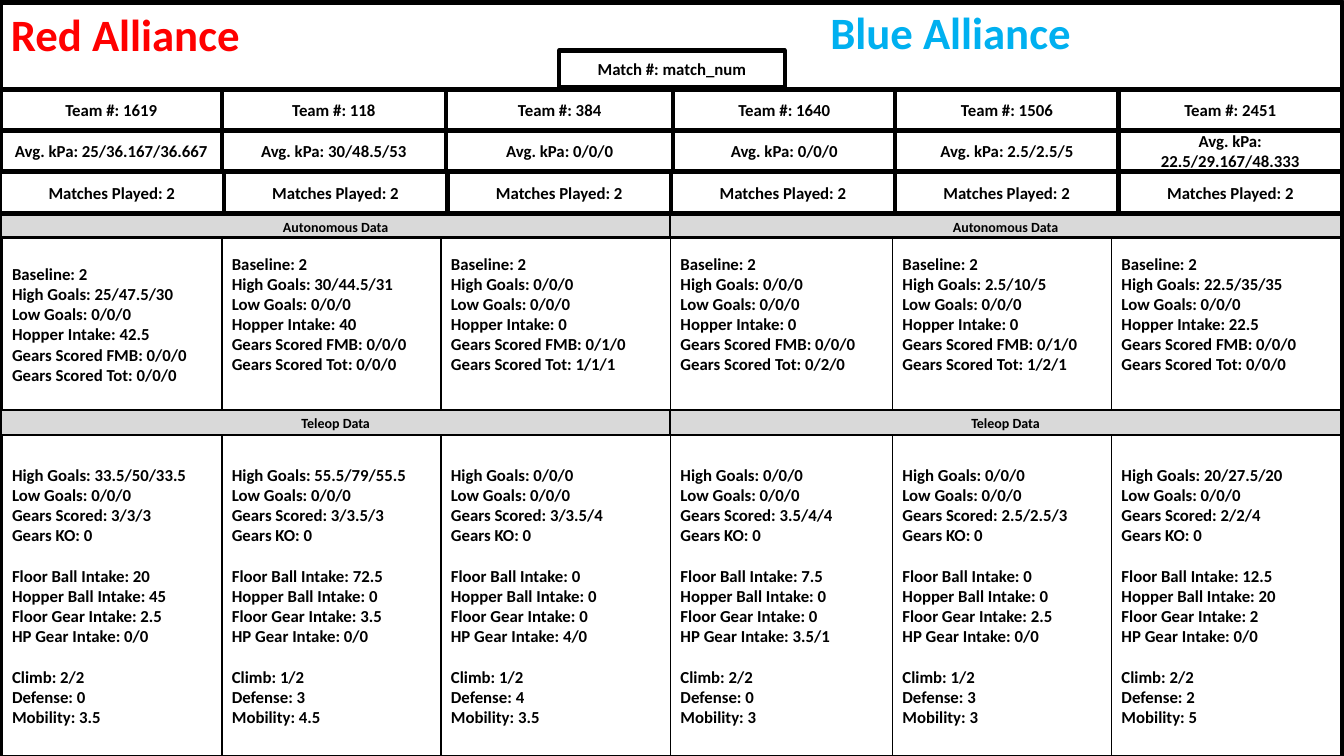
"""Match scouting sheet: two alliances of three teams each."""
from dataclasses import dataclass
from itertools import pairwise

from lxml import etree
from pptx import Presentation
from pptx.dml.color import RGBColor
from pptx.enum import shapes, text
from pptx.oxml import ns
from pptx.util import Pt


@dataclass(frozen=True)
class Theme:
    """Colours, type sizes and line widths of the sheet."""
    font: str = "Calibri"
    ink: str = "000000"
    paper: str = "FFFFFF"
    band: str = "D9D9D9"
    red: str = "FF0000"
    blue: str = "00B0F0"
    heading: float = 32
    body: float = 12
    label: float = 10
    thick: float = 3
    thin: float = 1.25


THEME = Theme()
BLANK_LINE = 14.65  # height of one body line

# Column edges, left to right
TEAM_EDGES = [0.5, 158.5, 318.5, 481, 639.5, 799, 958.5]
PLAYED_EDGES = [159.8 * i for i in range(7)]
DATA_EDGES = [1.5, 158.5, 315, 479, 637.5, 794, 957.5]
HALF_EDGES = [1, 478.5, 958]

TEAMS = ["1619", "118", "384", "1640", "1506", "2451"]
PRESSURES = ["25/36.167/36.667", "30/48.5/53", "0/0/0",
             "0/0/0", "2.5/2.5/5", "22.5/29.167/48.333"]
PLAYED = ["2"] * 6

AUTO_GROUPS = [["Baseline", "High Goals", "Low Goals", "Hopper Intake",
                "Gears Scored FMB", "Gears Scored Tot"]]
AUTO_VALUES = [
    ["2", "25/47.5/30", "0/0/0", "42.5", "0/0/0", "0/0/0"],
    ["2", "30/44.5/31", "0/0/0", "40", "0/0/0", "0/0/0"],
    ["2", "0/0/0", "0/0/0", "0", "0/1/0", "1/1/1"],
    ["2", "0/0/0", "0/0/0", "0", "0/0/0", "0/2/0"],
    ["2", "2.5/10/5", "0/0/0", "0", "0/1/0", "1/2/1"],
    ["2", "22.5/35/35", "0/0/0", "22.5", "0/0/0", "0/0/0"],
]
TELEOP_GROUPS = [
    ["High Goals", "Low Goals", "Gears Scored", "Gears KO"],
    ["Floor Ball Intake", "Hopper Ball Intake", "Floor Gear Intake", "HP Gear Intake"],
    ["Climb", "Defense", "Mobility"],
]
TELEOP_VALUES = [
    ["33.5/50/33.5", "0/0/0", "3/3/3", "0", "20", "45", "2.5", "0/0", "2/2", "0", "3.5"],
    ["55.5/79/55.5", "0/0/0", "3/3.5/3", "0", "72.5", "0", "3.5", "0/0", "1/2", "3", "4.5"],
    ["0/0/0", "0/0/0", "3/3.5/4", "0", "0", "0", "0", "4/0", "1/2", "4", "3.5"],
    ["0/0/0", "0/0/0", "3.5/4/4", "0", "7.5", "0", "0", "3.5/1", "2/2", "0", "3"],
    ["0/0/0", "0/0/0", "2.5/2.5/3", "0", "0", "0", "2.5", "0/0", "1/2", "3", "3"],
    ["20/27.5/20", "0/0/0", "2/2/4", "0", "12.5", "20", "2", "0/0", "2/2", "2", "5"],
]


def colour(code):
    """Turn a hex code into a colour."""
    return RGBColor.from_string(code)


def add_span(para, words, size=THEME.body, ink=THEME.ink):
    """Add one bold run to a paragraph."""
    span = para.add_run()
    span.text = words
    span.font.name = THEME.font
    span.font.size = Pt(size)
    span.font.bold = True
    span.font.color.rgb = colour(ink)


def add_box(page, left, top, width, height, line, fill=THEME.paper):
    """Add an outlined rectangle with middle-anchored text."""
    box = page.shapes.add_shape(shapes.MSO_SHAPE.RECTANGLE,
                                Pt(left), Pt(top), Pt(width), Pt(height))
    box.shadow.inherit = False
    box.fill.solid()
    box.fill.fore_color.rgb = colour(fill)
    box.line.color.rgb = colour(THEME.ink)
    box.line.width = Pt(line)
    box.text_frame.word_wrap = True
    box.text_frame.vertical_anchor = text.MSO_ANCHOR.MIDDLE
    return box


def add_label(page, left, top, width, height, words,
              line=THEME.thick, fill=THEME.paper, size=THEME.body):
    """Add a box with one centred line."""
    box = add_box(page, left, top, width, height, line, fill)
    para = box.text_frame.paragraphs[0]
    para.alignment = text.PP_ALIGN.CENTER
    add_span(para, words, size)


def add_label_row(page, edges, top, height, labels, **style):
    """Add one label between each pair of column edges."""
    for (left, right), words in zip(pairwise(edges), labels):
        add_label(page, left, top, right - left, height, words, **style)


def add_band(page, top, height, words):
    """Add a grey section band above each alliance."""
    add_label_row(page, HALF_EDGES, top, height, [words] * 2,
                  line=THEME.thin, fill=THEME.band, size=THEME.label)


def add_data_row(page, top, height, groups, table, lifts):
    """Add a box of labelled values per team, lifted by its bottom inset."""
    for (left, right), values, lift in zip(pairwise(DATA_EDGES), table, lifts):
        box = add_box(page, left, top, right - left, height, THEME.thin)
        frame = box.text_frame
        frame.margin_bottom = Pt(3.6 + lift)
        remaining = iter(values)
        for group_index, group in enumerate(groups):
            for name_index, name in enumerate(group):
                first = group_index == name_index == 0
                para = frame.paragraphs[0] if first else frame.add_paragraph()
                para.alignment = text.PP_ALIGN.LEFT
                if group_index and name_index == 0:
                    para.space_before = Pt(BLANK_LINE)
                add_span(para, f"{name}: {next(remaining)}")


def set_heading(box, left, top, width, words, ink):
    """Place a heading and write its words."""
    box.left, box.top, box.width, box.height = Pt(left), Pt(top), Pt(width), Pt(62.5)
    frame = box.text_frame
    frame.word_wrap = True
    frame.auto_size = text.MSO_AUTO_SIZE.NONE
    frame.vertical_anchor = text.MSO_ANCHOR.TOP
    para = frame.paragraphs[0]
    para.alignment = text.PP_ALIGN.LEFT
    add_span(para, words, THEME.heading, ink)


def add_divider(page, left, top, bottom):
    """Add the vertical line between the alliances."""
    rule = page.shapes.add_connector(shapes.MSO_CONNECTOR.STRAIGHT,
                                     Pt(left), Pt(top), Pt(left), Pt(bottom))
    rule.line.color.rgb = colour(THEME.ink)
    rule.line.width = Pt(THEME.thick)
    etree.SubElement(rule.element.spPr, ns.qn("a:effectLst"))


def main():
    """Build the sheet and save it."""
    deck = Presentation()
    deck.slide_width, deck.slide_height = Pt(960), Pt(540)
    page = deck.slides.add_slide(deck.slide_layouts[5])

    add_box(page, 0, 0.5, 958.5, 539.5, THEME.thick)
    add_box(page, 0.5, 2, 958, 62, THEME.thick)
    title = page.shapes.title
    title.element.getparent().append(title.element)  # bring in front of the header
    set_heading(title, 0.5, 1.5, 281, "Red Alliance", THEME.red)
    blue = page.shapes.add_textbox(0, 0, 0, 0)
    set_heading(blue, 586, 0, 294.5, "Blue Alliance", THEME.blue)
    add_divider(page, 479, 64, 540)

    add_data_row(page, 170, 123, AUTO_GROUPS, AUTO_VALUES, [0] + [BLANK_LINE] * 5)
    add_data_row(page, 311, 229, TELEOP_GROUPS, TELEOP_VALUES, [0] * 6)
    add_band(page, 154, 15.5, "Autonomous Data")
    add_band(page, 293, 18, "Teleop Data")

    add_label_row(page, TEAM_EDGES, 64, 29, [f"Team #: {team}" for team in TEAMS])
    add_label_row(page, TEAM_EDGES, 93.5, 29, [f"Avg. kPa: {kpa}" for kpa in PRESSURES])
    add_label_row(page, PLAYED_EDGES, 123, 29, [f"Matches Played: {n}" for n in PLAYED])
    add_label(page, 399.5, 36, 161, 26.5, "Match #: match_num")

    deck.save("out.pptx")


main()
